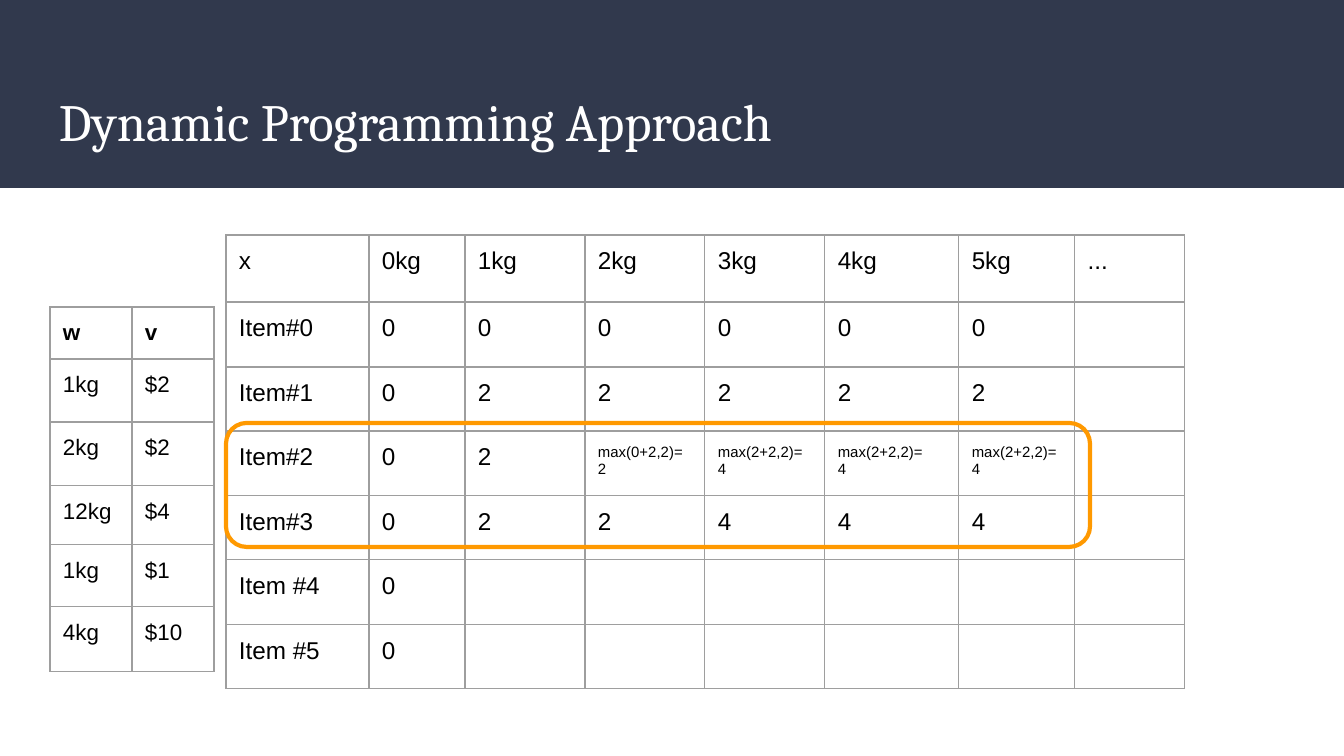
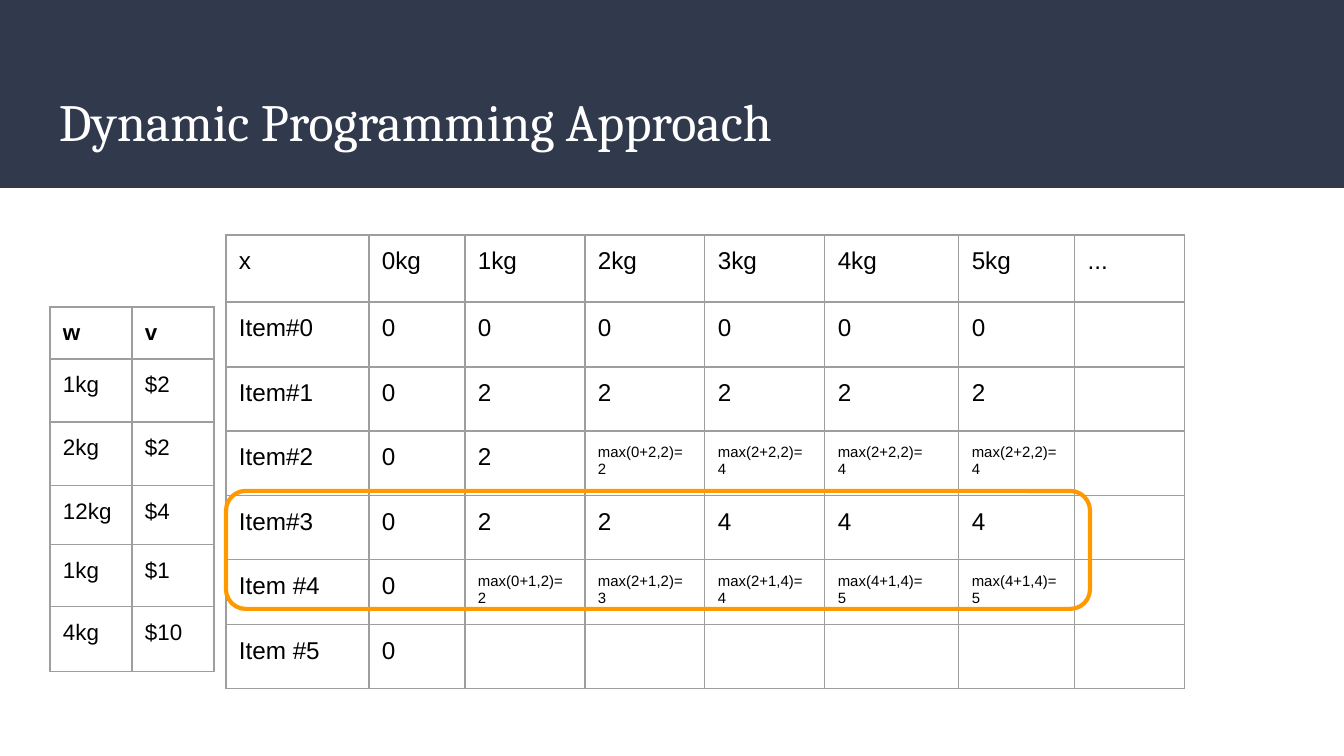
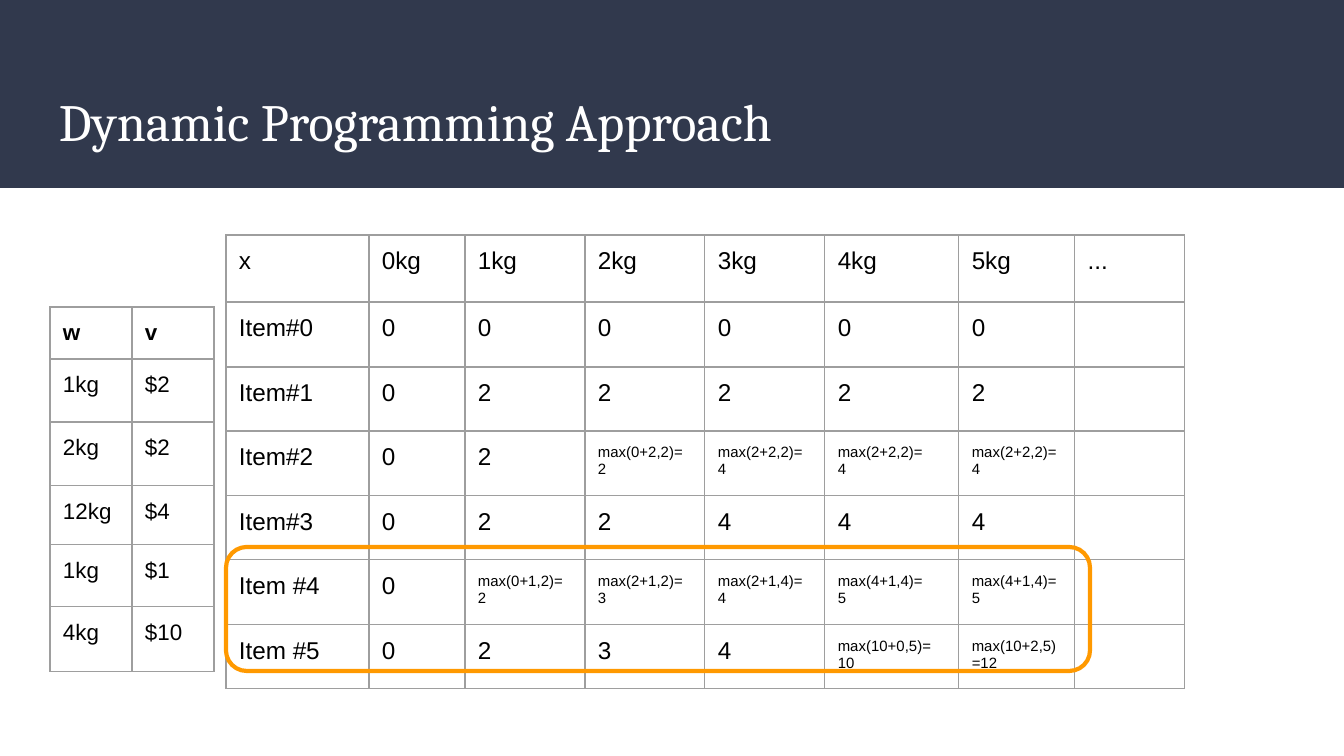
"""Build three slides that fill in a knapsack table by dynamic programming."""
from lxml import etree
from pptx import Presentation
from pptx import util as u
from pptx.dml.color import RGBColor
from pptx.enum import shapes, text
from pptx.oxml import ns

NAVY = RGBColor(0x31, 0x39, 0x4D)
WHITE = RGBColor(0xFF, 0xFF, 0xFF)
BLACK = RGBColor(0x00, 0x00, 0x00)
GREY = RGBColor(0x9E, 0x9E, 0x9E)
ORANGE = RGBColor(0xFF, 0x99, 0x00)

TITLE = "Dynamic Programming Approach"
ITEMS = [("w", "v"), ("1kg", "$2"), ("2kg", "$2"), ("12kg", "$4"), ("1kg", "$1"), ("4kg", "$10")]
START = [
    ["x", "0kg", "1kg", "2kg", "3kg", "4kg", "5kg", "..."],
    ["Item#0", "0", "0", "0", "0", "0", "0", ""],
    ["Item#1", "0", "2", "2", "2", "2", "2", ""],
    ["Item#2", "0", "2", "max(0+2,2)=\n2", "max(2+2,2)=\n4", "max(2+2,2)=\n4", "max(2+2,2)=\n4", ""],
    ["Item#3", "0", "2", "2", "4", "4", "4", ""],
    ["Item #4", "0", "", "", "", "", "", ""],
    ["Item #5", "0", "", "", "", "", "", ""],
]
ITEM_4 = ["Item #4", "0", "max(0+1,2)=\n2", "max(2+1,2)=\n3", "max(2+1,4)=\n4",
          "max(4+1,4)=\n5", "max(4+1,4)=5", ""]
ITEM_5 = ["Item #5", "0", "2", "3", "4", "max(10+0,5)=\n10", "max(10+2,5)=12", ""]
STEPS = [
    {"weights": START, "highlight": (423, 124)},
    {"weights": START[:5] + [ITEM_4, START[6]], "highlight": (491, 118)},
    {"weights": START[:5] + [ITEM_4, ITEM_5], "highlight": (547, 124)},
]

WEIGHTS_LEFT, WEIGHTS_TOP = 226, 235
WEIGHTS_COLS = [143, 96, 120, 120, 120, 134, 116, 110]
WEIGHTS_ROWS = [67, 65, 64, 65, 64, 65, 64]
ITEMS_LEFT, ITEMS_TOP = 50, 307
ITEMS_COLS = [82, 82]
ITEMS_ROWS = [52, 63, 64, 59, 62, 65]
HIGHLIGHT_WIDTH = 864
INSET = 13


def px(length):
    return u.Emu(round(length * 914400 / 134.4))


def style(font, name, size, color, bold=False):
    font.name, font.size, font.bold = name, u.Pt(size), bold
    font.color.rgb = color


def set_insets(part):
    part.margin_left = part.margin_right = part.margin_top = part.margin_bottom = px(INSET)


def add_borders(cell):
    properties = cell._tc.get_or_add_tcPr()
    for side in ("a:lnL", "a:lnR", "a:lnT", "a:lnB"):
        border = etree.SubElement(properties, ns.qn(side), w=str(u.Pt(0.75)))
        fill = etree.SubElement(border, ns.qn("a:solidFill"))
        etree.SubElement(fill, ns.qn("a:srgbClr"), val=str(GREY))


def fill_cell(cell, words, size, bold):
    cell.text_frame.text = words
    set_insets(cell)
    add_borders(cell)
    cell.fill.background()
    for paragraph in cell.text_frame.paragraphs:
        for run in paragraph.runs:
            style(run.font, "Arial", size, BLACK, bold)
        if not paragraph.runs:
            etree.SubElement(paragraph._p, ns.qn("a:endParaRPr"), sz=str(size * 100))


def add_grid(slide, rows, left, top, widths, heights, size, bold_header=False):
    frame = slide.shapes.add_table(len(rows), len(widths), px(left), px(top),
                                   px(sum(widths)), px(sum(heights)))
    grid = frame.table
    grid.first_row = grid.horz_banding = False
    for column, width in zip(grid.columns, widths):
        column.width = px(width)
    for r, (row, height) in enumerate(zip(rows, heights)):
        grid.rows[r].height = px(height)
        for c, words in enumerate(row):
            formula = words.startswith("max")
            fill_cell(grid.cell(r, c), words, 8 if formula else size, bold_header and r == 0)


def add_title(slide):
    title = slide.shapes.title
    title.left, title.top, title.width, title.height = px(46), px(74), px(1253), px(91)
    frame = title.text_frame
    frame.text = TITLE
    frame.auto_size = text.MSO_AUTO_SIZE.NONE
    frame.vertical_anchor = text.MSO_ANCHOR.BOTTOM
    set_insets(frame)
    frame.paragraphs[0].alignment = text.PP_ALIGN.LEFT
    style(frame.paragraphs[0].runs[0].font, "Cambria", 28, WHITE)


def add_highlight(slide, top, height):
    highlight = slide.shapes.add_shape(shapes.MSO_SHAPE.ROUNDED_RECTANGLE, px(WEIGHTS_LEFT), px(top),
                                       px(HIGHLIGHT_WIDTH), px(height))
    highlight.shadow.inherit = False
    highlight.fill.background()
    highlight.line.color.rgb = ORANGE
    highlight.line.width = u.Pt(2.25)


def add_layout_band(slide):
    band = slide.shapes.add_shape(shapes.MSO_SHAPE.RECTANGLE, 0, 0, px(1344), px(188))
    band.shadow.inherit = False
    band.fill.solid()
    band.fill.fore_color.rgb = NAVY
    band.line.fill.background()
    band._element.nvSpPr.cNvPr.set("id", "20")
    slide.slide_layout.shapes._spTree.insert(2, band._element)


def main():
    deck = Presentation()
    deck.slide_width, deck.slide_height = px(1344), px(756)
    layout = deck.slide_layouts[5]
    for number, step in enumerate(STEPS):
        slide = deck.slides.add_slide(layout)
        if number == 0:
            add_layout_band(slide)
        add_title(slide)
        add_grid(slide, step["weights"], WEIGHTS_LEFT, WEIGHTS_TOP, WEIGHTS_COLS, WEIGHTS_ROWS, 13)
        add_grid(slide, ITEMS, ITEMS_LEFT, ITEMS_TOP, ITEMS_COLS, ITEMS_ROWS, 12, bold_header=True)
        add_highlight(slide, *step["highlight"])
    deck.save("out.pptx")


if __name__ == "__main__":
    main()
